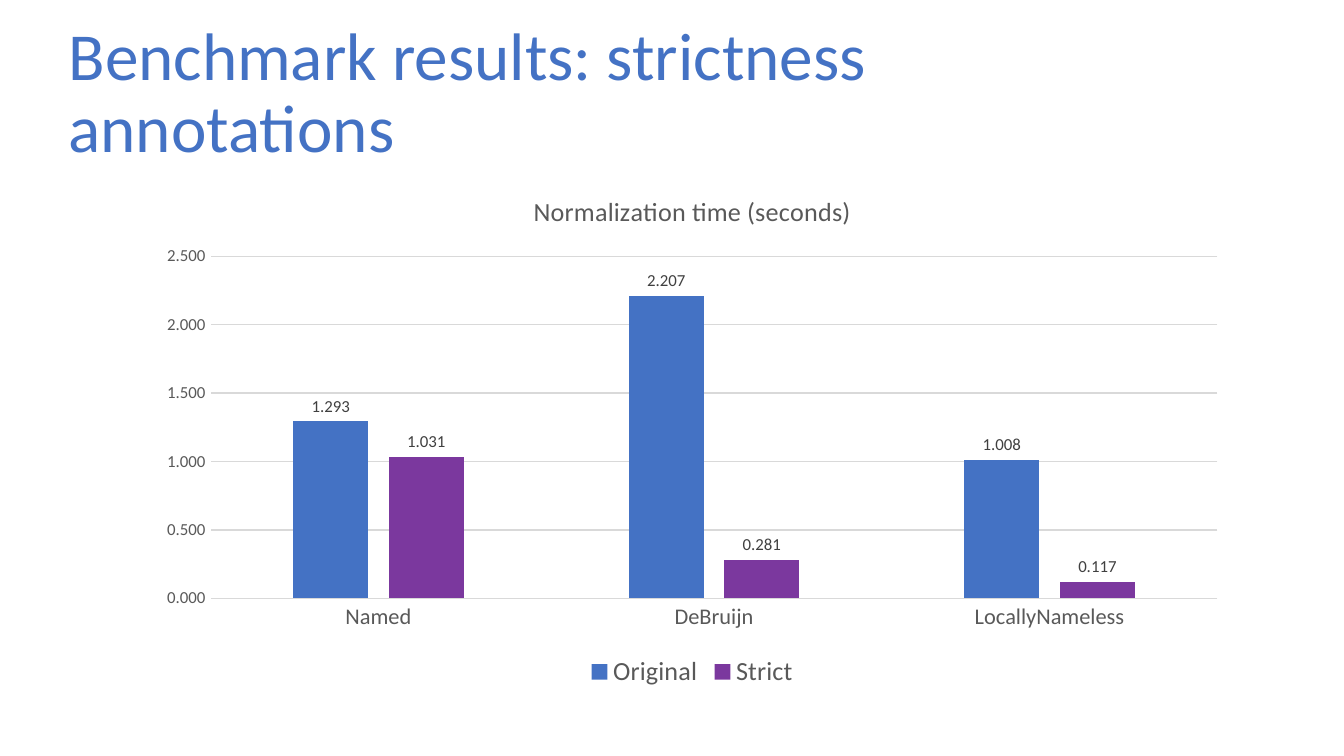
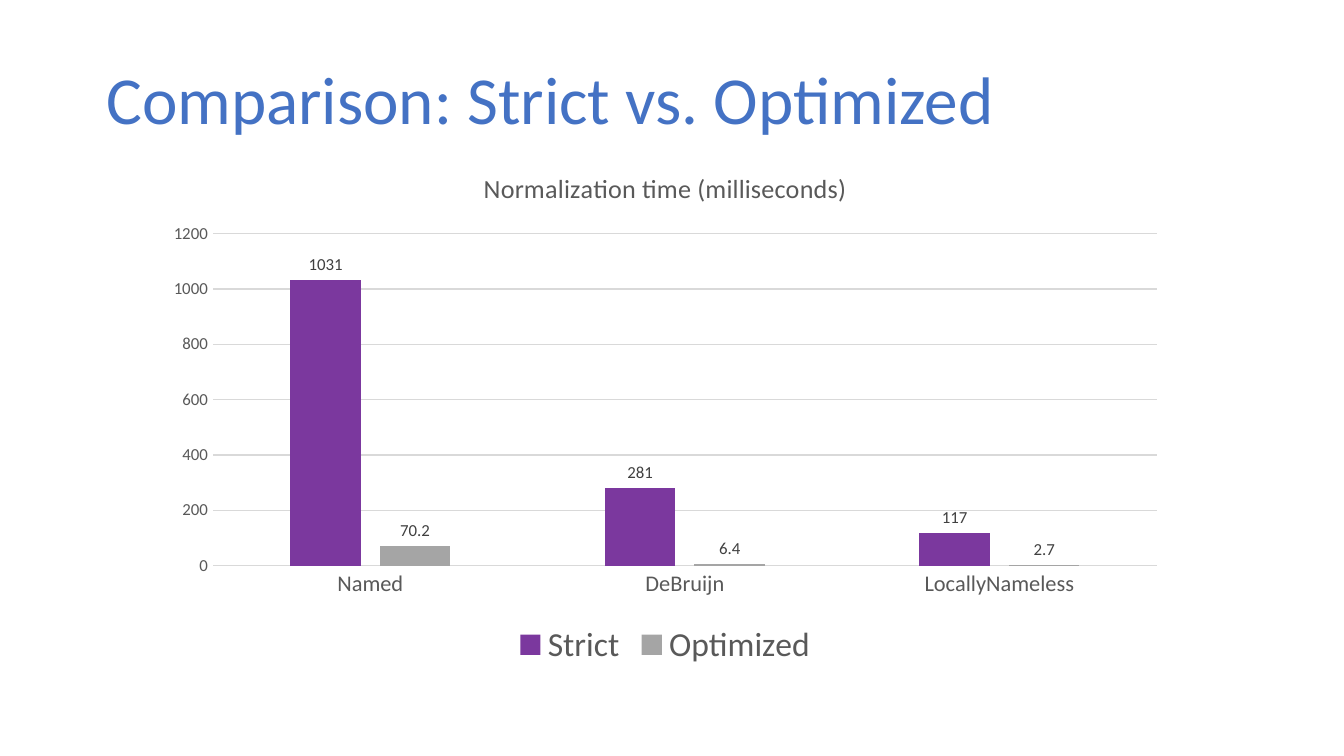
from pptx import Presentation
from pptx.chart.data import CategoryChartData
from pptx.dml.color import RGBColor
from pptx.enum.chart import XL_CHART_TYPE, XL_LABEL_POSITION, XL_LEGEND_POSITION, XL_TICK_MARK
from pptx.enum.text import MSO_ANCHOR, MSO_AUTO_SIZE, PP_ALIGN
from pptx.util import Pt

COLUMNS = XL_CHART_TYPE.COLUMN_CLUSTERED
OUTSIDE = XL_LABEL_POSITION.OUTSIDE_END
BOTTOM = XL_LEGEND_POSITION.BOTTOM
NO_TICK = XL_TICK_MARK.NONE
MIDDLE = MSO_ANCHOR.MIDDLE
NO_FIT = MSO_AUTO_SIZE.NONE
LEFT = PP_ALIGN.LEFT

FONT = "Calibri"
COLORS = {
    "blue": "4472C4", "purple": "7B389E", "silver": "A5A5A5", "white": "FFFFFF",
    "black": "000000", "text": "595959", "label": "404040", "grid": "D9D9D9",
}
CATEGORIES = ["Named", "DeBruijn", "LocallyNameless"]

# Boxes are left, top, width, height in points
SLIDES = [
    {
        "title": "Benchmark results: strictness annotations",
        "title_box": (29.5, 18.7, 620.6, 64.1),
        "chart_title": "Normalization time (seconds)",
        "chart_box": (77.8, 91.4, 586.1, 280.1),
        "axis": (2.5, 0.5, "0.000"),
        "legend_size": 14,
        "series": [
            ("Original", (1.293, 2.207, 1.008), "blue", "0.000"),
            ("Strict", (1.031, 0.281, 0.117), "purple", "0.000"),
        ],
    },
    {
        "title": "Comparison: Strict vs. Optimized",
        "title_box": (49.7, 23, 620.6, 64.1),
        "chart_title": "Normalization time (milliseconds)",
        "chart_box": (82.1, 79.2, 548.6, 280.8),
        "axis": (1200, 200, "0"),
        "legend_size": 18,
        "series": [
            ("Strict", (1031, 281, 117), "purple", "0"),
            ("Optimized", (70.2, 6.4, 2.7), "silver", "0.0"),
        ],
    },
]


def rgb(name):
    return RGBColor.from_string(COLORS[name])


def style(font, size, color):
    font.name = FONT
    font.size = Pt(size)
    font.bold = False
    font.color.rgb = rgb(color)


prs = Presentation()
prs.slide_width, prs.slide_height = Pt(720), Pt(405)

for page in SLIDES:
    s = prs.slides.add_slide(prs.slide_layouts[5])
    s.background.fill.solid()
    s.background.fill.fore_color.rgb = rgb("white")

    # Title
    title = s.shapes.title
    title.left, title.top, title.width, title.height = map(Pt, page["title_box"])
    tf = title.text_frame
    tf.text = page["title"]
    tf.word_wrap = True
    tf.auto_size = NO_FIT
    tf.vertical_anchor = MIDDLE
    p = tf.paragraphs[0]
    p.alignment = LEFT
    p.line_spacing = 0.9
    style(p.runs[0].font, 36, "blue")

    # Chart
    data = CategoryChartData()
    data.categories = CATEGORIES
    for name, values, color, fmt in page["series"]:
        data.add_series(name, values, number_format=fmt)
    chart = s.shapes.add_chart(COLUMNS, *map(Pt, page["chart_box"]), data).chart
    style(chart.font, 10, "black")
    chart.has_title = True
    tf = chart.chart_title.text_frame
    tf.text = page["chart_title"]
    style(tf.paragraphs[0].runs[0].font, 14, "text")
    chart.chart_title.include_in_layout = False

    # Legend
    chart.has_legend = True
    chart.legend.position = BOTTOM
    chart.legend.include_in_layout = False
    style(chart.legend.font, page["legend_size"], "text")

    # Axes
    cat_axis, val_axis = chart.category_axis, chart.value_axis
    for axis, size in ((cat_axis, 12), (val_axis, 9)):
        axis.major_tick_mark = axis.minor_tick_mark = NO_TICK
        style(axis.tick_labels.font, size, "text")
    val_axis.minimum_scale = 0
    val_axis.maximum_scale, val_axis.major_unit, axis_fmt = page["axis"]
    val_axis.tick_labels.number_format = axis_fmt
    val_axis.tick_labels.number_format_is_linked = False
    val_axis.format.line.fill.background()
    val_axis.has_major_gridlines = True
    for line in (cat_axis.format.line, val_axis.major_gridlines.format.line):
        line.color.rgb = rgb("grid")
        line.width = Pt(0.75)

    # Columns and their labels
    plot = chart.plots[0]
    plot.gap_width = 219
    plot.overlap = -27
    plot.vary_by_categories = False
    for series, (name, values, color, fmt) in zip(plot.series, page["series"]):
        series.format.fill.solid()
        series.format.fill.fore_color.rgb = rgb(color)
        series.invert_if_negative = False
        labels = series.data_labels
        labels.show_value = True
        labels.position = OUTSIDE
        labels.number_format = fmt
        labels.number_format_is_linked = False
        style(labels.font, 9, "label")

prs.save("out.pptx")
